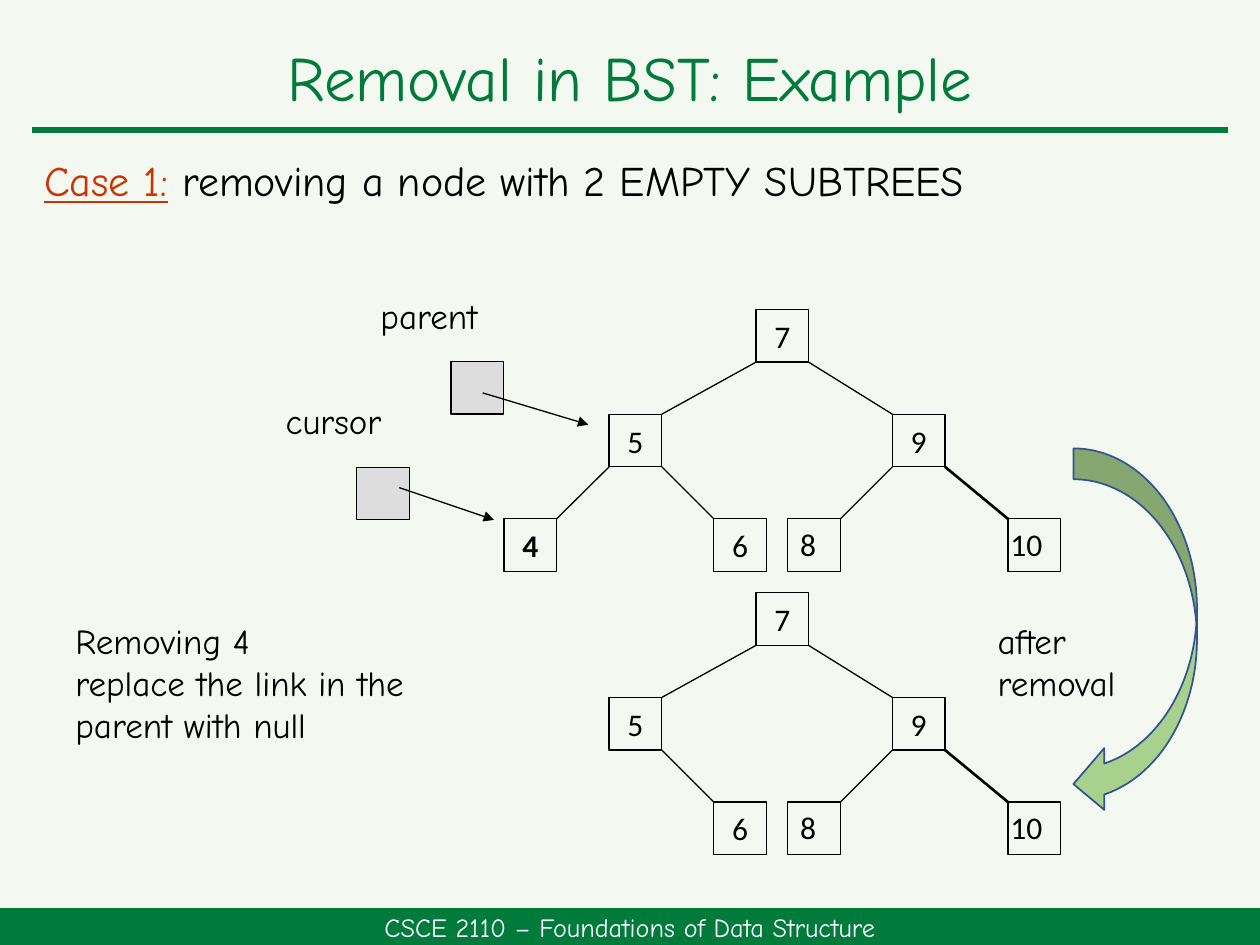
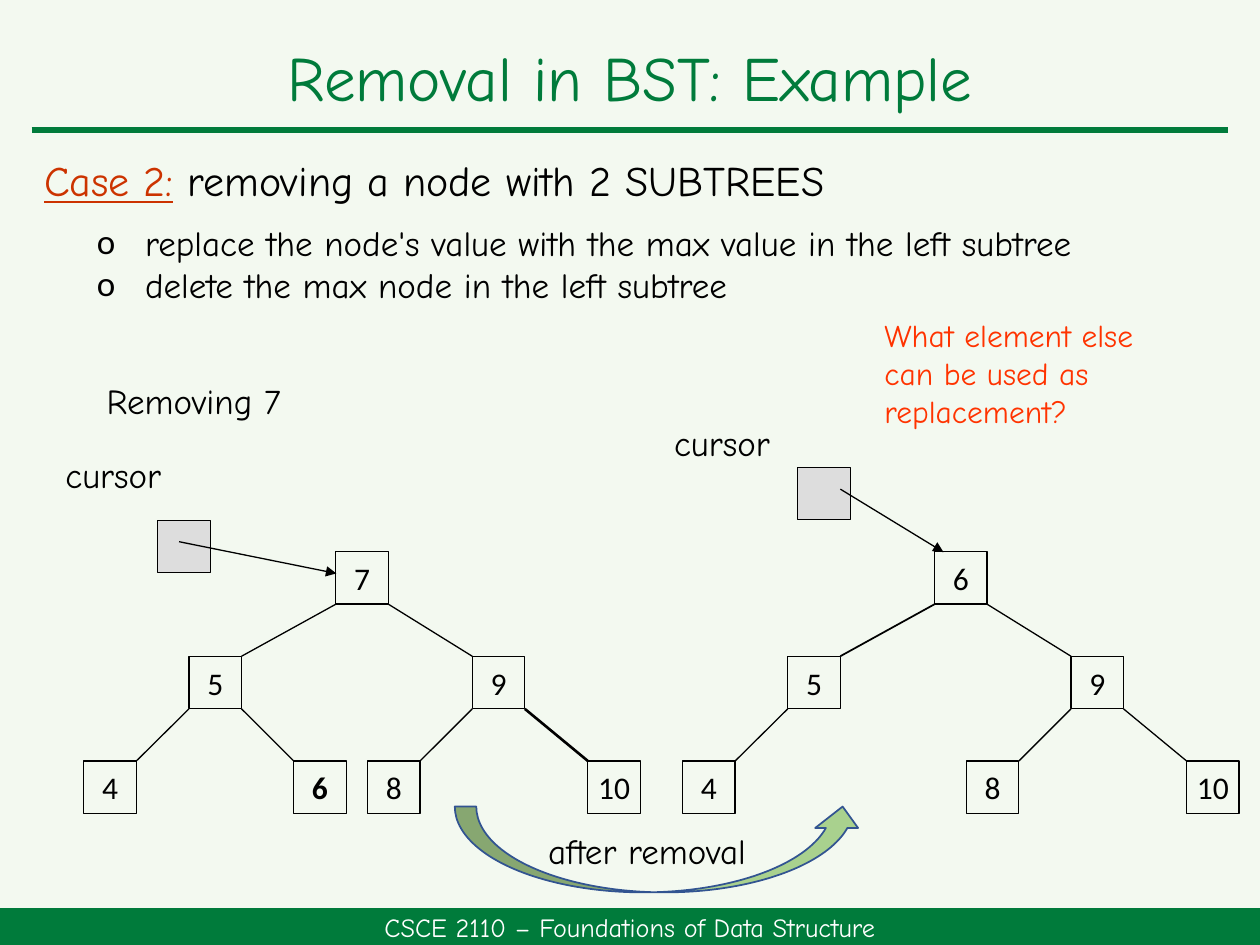
from lxml.etree import SubElement
from pptx import Presentation
from pptx.dml.color import RGBColor
from pptx.enum.shapes import MSO_CONNECTOR, MSO_SHAPE
from pptx.enum.text import MSO_ANCHOR, MSO_AUTO_SIZE, PP_ALIGN
from pptx.oxml.ns import qn
from pptx.util import Cm, Pt

GREEN, BLACK, WHITE = "007B3B", "000000", "FFFFFF"
HAND, PLAIN = "Comic Neue", "Calibri"
BOX = 1.06   # side of a node, cm
ROW = 2.11   # from one tree level to the next, cm
color = RGBColor.from_string


def text(slide, words, x, y, w, h, size=20, font=HAND, tint=BLACK):
    """Add a wrapped text box, one paragraph per line of words."""
    frame = slide.shapes.add_textbox(Cm(x), Cm(y), Cm(w), Cm(h)).text_frame
    frame.word_wrap = True
    frame.text = words
    for par in frame.paragraphs:
        par.font.size, par.font.name = Pt(size), font
        par.font.color.rgb = color(tint)
    return frame


def line(slide, start, end, width=0.75, tint=BLACK, arrow=False):
    """Join two (x, y) points given in cm."""
    link = slide.shapes.add_connector(
        MSO_CONNECTOR.STRAIGHT, *map(Cm, start), *map(Cm, end))
    link.line.color.rgb = color(tint)
    link.line.width = Pt(width)
    if arrow:
        SubElement(link.get_or_add_ln(), qn("a:tailEnd"), type="triangle")
    SubElement(link.element.spPr, qn("a:effectLst"))


deck = Presentation()
deck.slide_width, deck.slide_height = Cm(25.4), Cm(19.05)
master = deck.slide_master
master.background.fill.solid()
master.background.fill.fore_color.rgb = color("F3F9F0")
leaf = deck.slides.add_slide(deck.slide_layouts[5])
full = deck.slides.add_slide(deck.slide_layouts[1])

# Footer band, made once and moved to the master
band = leaf.shapes.add_shape(MSO_SHAPE.RECTANGLE, 0, Cm(18.31), Cm(25.4), Cm(0.74))
band.shadow.inherit = False
band.fill.solid()
band.fill.fore_color.rgb = color(GREEN)
band.line.fill.background()
band.text_frame.text = "CSCE 2110 – Foundations of Data Structure"
band.text_frame.vertical_anchor = MSO_ANCHOR.MIDDLE
par = band.text_frame.paragraphs[0]
par.alignment = PP_ALIGN.CENTER
par.font.size, par.font.name = Pt(15), HAND
par.font.color.rgb = color(WHITE)
band.element.nvSpPr.cNvPr.id = 99
master.placeholders[0].element.addprevious(band.element)

# Title, rule and case heading
for slide, case, rest in (
    (leaf, "Case 1:", " removing a node with 2 EMPTY SUBTREES"),
    (full, "Case 2:", " removing a node with 2 SUBTREES"),
):
    title = slide.shapes.title
    title.left, title.top, title.width, title.height = map(Cm, (0, 0.48, 25.4, 2.13))
    frame = title.text_frame
    frame.text = "Removal in BST: Example"
    frame.auto_size = MSO_AUTO_SIZE.NONE
    frame.vertical_anchor = MSO_ANCHOR.MIDDLE
    par = frame.paragraphs[0]
    par.alignment = PP_ALIGN.CENTER
    par.font.size, par.font.name = Pt(36), HAND
    par.font.color.rgb = color(GREEN)
    line(slide, (0.64, 2.62), (24.76, 2.62), 3, GREEN)

    par = text(slide, case, 0.64, 3, 23.06, 1.27, 24).paragraphs[0]
    par.runs[0].font.underline = True
    par.runs[0].font.color.rgb = color("CC3300")
    run = par.add_run()
    run.text = rest
    run.font.color.rgb = color(BLACK)

# Steps of case 2
body = full.placeholders[1]
body.left, body.top, body.width, body.height = map(Cm, (1.7, 4.34, 23.06, 1.96))
frame = body.text_frame
frame.auto_size = MSO_AUTO_SIZE.NONE
frame.text = ("replace the node's value with the max value in the left subtree\n"
              "delete the max node in the left subtree")
for par in frame.paragraphs:
    par.space_before = Pt(0)
    par.font.size, par.font.name = Pt(20), HAND
    par.font.color.rgb = color(BLACK)
    props = par._p.get_or_add_pPr()
    props.set("marL", str(Cm(0.97)))
    props.set("indent", str(Cm(-0.97)))
    SubElement(props, qn("a:buFont"), typeface=PLAIN)
    SubElement(props, qn("a:buChar"), char="o")
    # bullet marks must come before the default run properties
    props.append(props.find(qn("a:defRPr")))

# Place of each node: parent, shift from the root in cm, level
spots = {
    "5": ("root", -2.96, 1), "9": ("root", 2.75, 1),
    "4": ("5", -5.08, 2), "6": ("5", -0.85, 2),
    "8": ("9", 0.64, 2), "10": ("9", 5.08, 2),
}
# Slide, root value, left, top, other nodes, bold node, wider edges
trees = (
    (leaf, "7", 15.24, 6.24, "5 9 4 6 8 10", "4", {"10": 1.5}),
    (leaf, "7", 15.24, 11.95, "5 9 6 8 10", "", {"10": 1.5}),
    (full, "7", 6.77, 11.12, "5 9 4 6 8 10", "6", {"10": 1.5}),
    (full, "6", 18.84, 11.12, "5 9 4 8 10", "", {"5": 1}),
)
boxes = []
for slide, root, left, top, nodes, bold, wide in trees:
    boxes.append((slide, left, top, root, False, None))
    at = {"root": (left, top)}
    for node in nodes.split():
        parent, shift, level = spots[node]
        x, y = at[node] = left + shift, top + level * ROW
        up, over = at[parent]
        start, end = (up, x + BOX) if x < up else (up + BOX, x)
        line(slide, (start, over + BOX), (end, y), wide.get(node, 0.75))
        value = node
        if slide is leaf and node in ("8", "10"):
            value = ""
            inset = 0 if node == "8" else -0.2
            text(slide, node, x + inset, y, 1.5, 1.27, 18, PLAIN)
        boxes.append((slide, x, y, value, node == bold, None))

# Pointers: label place, cell place, arrow from and to
for slide, name, label, cell, start, end in (
    (leaf, "parent", (7.42, 5.82), (9.09, 7.29), (9.73, 7.92), (11.86, 8.56)),
    (leaf, "cursor", (5.51, 7.92), (7.19, 9.42), (8.05, 9.83), (9.96, 10.48)),
    (full, "cursor", (1.07, 9.02), (3.18, 10.49), (3.61, 10.92), (6.78, 11.56)),
    (full, "cursor", (13.34, 8.38), (16.08, 9.42), (16.94, 9.86), (19.02, 11.13)),
):
    text(slide, name, *label, 2.9, 1.12)
    boxes.append((slide, *cell, "", False, "DDDDDD"))
    boxes.append((slide, start, end))

for slide, x, y, *look in boxes:
    if not look:
        line(slide, x, y, arrow=True)
        continue
    value, bold, fill = look
    box = slide.shapes.add_shape(MSO_SHAPE.RECTANGLE, Cm(x), Cm(y), Cm(BOX), Cm(BOX))
    box.shadow.inherit = False
    box.line.color.rgb = color(BLACK)
    box.line.width = Pt(0.75)
    if fill:
        box.fill.solid()
        box.fill.fore_color.rgb = color(fill)
    else:
        box.fill.background()
    if value:
        frame = box.text_frame
        frame.text = value
        frame.word_wrap = False
        frame.vertical_anchor = MSO_ANCHOR.MIDDLE
        par = frame.paragraphs[0]
        par.alignment = PP_ALIGN.CENTER
        par.font.size, par.font.name, par.font.bold = Pt(18), PLAIN, bold
        par.font.color.rgb = color(BLACK)

# Curved arrows from the tree before to the tree after
for slide, kind, *place in (
    (leaf, MSO_SHAPE.CURVED_LEFT_ARROW, 21.64, 9.04, 2.49, 7.39),
    (full, MSO_SHAPE.CURVED_UP_ARROW, 9.17, 16.26, 8.25, 1.73),
):
    bend = slide.shapes.add_shape(kind, *map(Cm, place))
    bend.shadow.inherit = False
    bend.fill.solid()
    bend.fill.fore_color.rgb = color("A9D18E")
    bend.line.color.rgb = color("325491")
    bend.line.width = Pt(1)

# Remarks
text(leaf, "Removing 4\nreplace the link in the parent with null", 1.27, 12.37, 9.09, 2.82)
text(leaf, "after removal", 19.86, 12.37, 4.27, 1.96)
text(full, "Removing 7", 1.9, 7.52, 5.11, 1.12)
text(full, "What element else\ncan be used as\nreplacement?",
     17.58, 6.25, 6.12, 2.57, 18, tint="FF3300")
text(full, "after removal", 10.8, 16.59, 5.61, 1.12)

deck.save("out.pptx")
